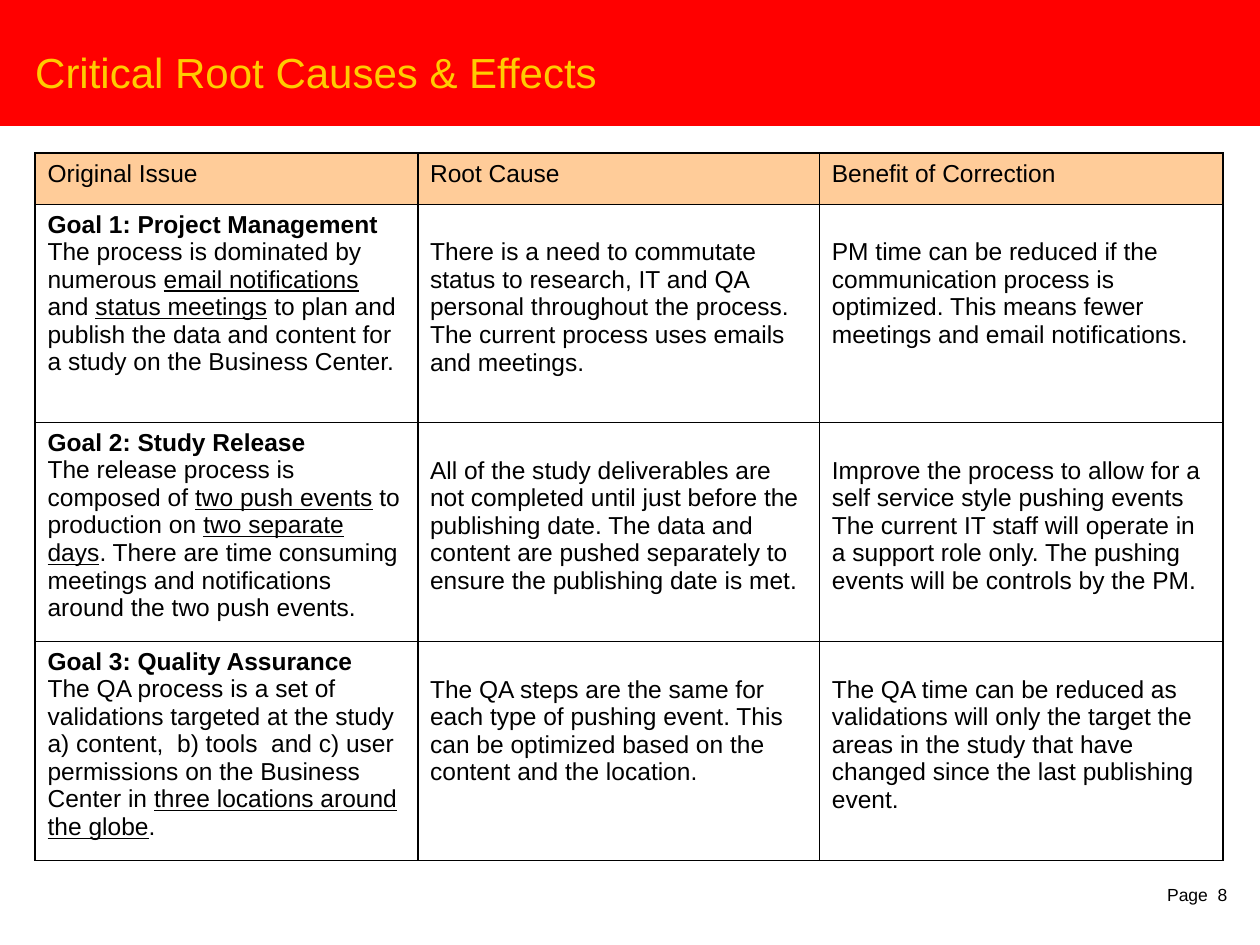
from lxml.etree import SubElement
from pptx import Presentation
from pptx.dml.color import RGBColor
from pptx.enum.shapes import MSO_SHAPE as Shape
from pptx.enum.text import MSO_ANCHOR as Anchor
from pptx.oxml.ns import qn
from pptx.util import Cm, Pt

RED = RGBColor(0xFF, 0x00, 0x00)
GOLD = RGBColor(0xFF, 0xCC, 0x00)
PEACH = RGBColor(0xFF, 0xCC, 0x99)
WHITE = RGBColor(0xFF, 0xFF, 0xFF)
BLACK = RGBColor(0x00, 0x00, 0x00)
FONT = "Arial"
THICK, THIN = Pt(1.08), Pt(0.45)
SIDE_MARGIN, END_MARGIN, BODY_LINE = Cm(0.25), Cm(0.13), Cm(0.56)

HEADINGS = ["Original Issue", "Root Cause", "Benefit of Correction"]
# Each goal: heading, issue as (words, underlined) pieces, root cause, benefit.
GOALS = [
    ("Goal 1: Project Management",
     [("The process is dominated by numerous ", False),
      ("email notifications", True), (" and ", False),
      ("status meetings", True),
      (" to plan and publish the data and content for a study on the "
       "Business Center.", False)],
     "There is a need to commutate status to research, IT and QA personal "
     "throughout the process. The current process uses emails and meetings.",
     "PM time can be reduced if the communication process is optimized. "
     "This means fewer meetings and email notifications."),
    ("Goal 2: Study Release",
     [("The release process is composed of ", False),
      ("two push events", True), (" to production on ", False),
      ("two separate days", True),
      (". There are time consuming meetings and notifications around the "
       "two push events.", False)],
     "All of the study deliverables are not completed until just before the "
     "publishing date. The data and content are pushed separately to ensure "
     "the publishing date is met.",
     "Improve the process to allow for a self service style pushing events "
     "The current IT staff will operate in a support role only. The pushing "
     "events will be controls by the PM."),
    ("Goal 3: Quality Assurance",
     [("The QA process is a set of validations targeted at the study "
       "a) content,  b) tools  and c) user permissions on the Business "
       "Center in ", False),
      ("three locations around the globe", True), (".", False)],
     "The QA steps are the same for each type of pushing event. This can be "
     "optimized based on the content and the location.",
     "The QA time can be reduced as validations will only the target the "
     "areas in the study that have changed since the last publishing event."),
]


def add_run(paragraph, words, size=14, color=BLACK, bold=False, underline=False):
    run = paragraph.add_run()
    run.text = words
    font = run.font
    font.name, font.size, font.bold = FONT, Pt(size), bold
    font.underline = underline
    font.color.rgb = color


def add_label(slide, left, top, width, height, words, size, color,
              margins=(0, 0), anchor=Anchor.TOP):
    """Add one line of text; margins are (sides, ends)."""
    frame = slide.shapes.add_textbox(left, top, width, height).text_frame
    frame.word_wrap = True
    frame.vertical_anchor = anchor
    frame.margin_left = frame.margin_right = margins[0]
    frame.margin_top = frame.margin_bottom = margins[1]
    add_run(frame.paragraphs[0], words, size, color)


def add_title_band(slide, left, top, width, height):
    band = slide.shapes.add_shape(Shape.RECTANGLE, left, top, width, height)
    band.shadow.inherit = False
    band.fill.solid()
    band.fill.fore_color.rgb = RED
    band.line.fill.background()
    add_label(slide, left + Cm(0.71), top + Cm(0.94), Cm(21.08), Cm(1.02),
              "Critical Root Causes & Effects", 24, GOLD, anchor=Anchor.BOTTOM)


def style_cell(cell, fill, top_line, bottom_line):
    cell.margin_left = cell.margin_right = SIDE_MARGIN
    cell.margin_top = cell.margin_bottom = END_MARGIN
    properties = cell._tc.get_or_add_tcPr()
    edges = {"a:lnL": THICK, "a:lnR": THICK, "a:lnT": top_line, "a:lnB": bottom_line}
    for tag, line_width in edges.items():
        edge = SubElement(properties, qn(tag), w=str(line_width))
        ink = SubElement(edge, qn("a:solidFill"))
        SubElement(ink, qn("a:srgbClr"), val=str(BLACK))
    cell.fill.solid()
    cell.fill.fore_color.rgb = fill


def fill_issue(cell, heading, pieces):
    frame = cell.text_frame
    add_run(frame.paragraphs[0], heading, bold=True)
    issue = frame.add_paragraph()
    for words, underlined in pieces:
        add_run(issue, words, underline=underlined)


def add_goal_table(slide, left, top, width, height):
    last = len(GOALS)
    table = slide.shapes.add_table(last + 1, len(HEADINGS), left, top,
                                   width, height).table
    table.horz_banding = False
    issue_width, cause_width = Cm(7.71), Cm(8.1)
    column_widths = [issue_width, cause_width, width - issue_width - cause_width]
    for column, column_width in zip(table.columns, column_widths):
        column.width = column_width
    header_height = Cm(1.03)
    for number, row in enumerate(table.rows):
        row.height = (height - header_height) // last if number else header_height
        for cell in row.cells:
            style_cell(cell, WHITE if number else PEACH,
                       THIN if number else THICK,
                       THICK if number == last else THIN)

    for column, heading in enumerate(HEADINGS):
        add_run(table.cell(0, column).text_frame.paragraphs[0], heading)
    for number, (heading, issue, *answers) in enumerate(GOALS, 1):
        fill_issue(table.cell(number, 0), heading, issue)
        for column, answer in enumerate(answers, 1):
            cell = table.cell(number, column)
            cell.margin_top = END_MARGIN + BODY_LINE  # level with the issue text
            add_run(cell.text_frame.paragraphs[0], answer)


def main():
    deck = Presentation()
    deck.slide_width, deck.slide_height = Cm(25.4), Cm(19.05)
    slide = deck.slides.add_slide(deck.slide_layouts[6])
    add_title_band(slide, 0, 0, deck.slide_width, Cm(2.54))
    add_goal_table(slide, Cm(0.71), Cm(3.09), Cm(23.95), Cm(14.23))
    add_label(slide, Cm(23.28), Cm(17.7), Cm(2.12), Cm(0.69), "Page  8", 10,
              BLACK, margins=(SIDE_MARGIN, END_MARGIN))
    deck.save("out.pptx")


if __name__ == "__main__":
    main()
